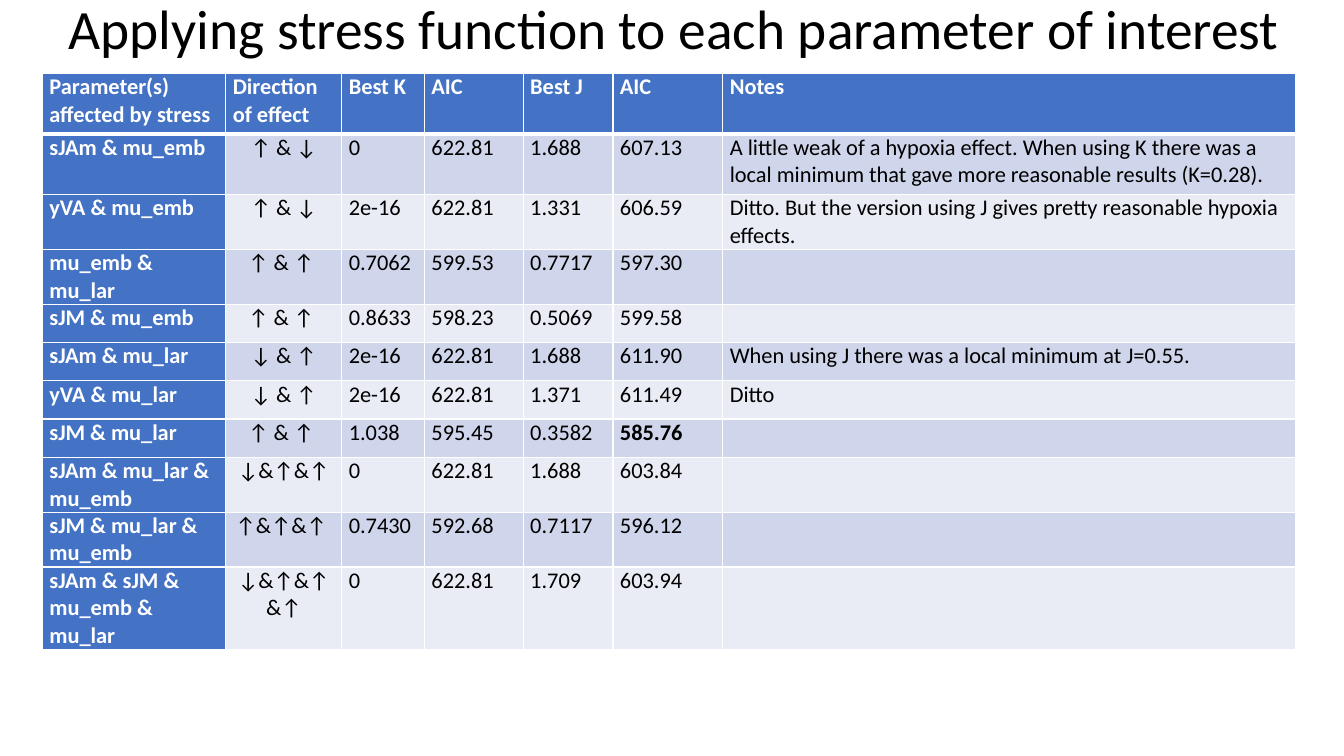
from lxml import etree
from pptx import Presentation, util as u
from pptx.dml.color import RGBColor
from pptx.enum import text
from pptx.oxml import ns

TITLE = "Applying stress function to each parameter of interest"
HEADINGS = ("Parameter(s) affected by stress", "Direction of effect",
            "Best K", "AIC", "Best J", "AIC", "Notes")
RESULTS = [
    ("sJAm & mu_emb", "↑ & ↓", "0", "622.81", "1.688", "607.13",
     "A little weak of a hypoxia effect. When using K there was a local minimum "
     "that gave more reasonable results (K=0.28)."),
    ("yVA & mu_emb", "↑ & ↓", "2e-16", "622.81", "1.331", "606.59",
     "Ditto. But the version using J gives pretty reasonable hypoxia effects."),
    ("mu_emb & mu_lar", "↑ & ↑ ", "0.7062", "599.53", "0.7717", "597.30", ""),
    ("sJM & mu_emb", "↑ & ↑ ", "0.8633", "598.23", "0.5069", "599.58", ""),
    ("sJAm & mu_lar", "↓ & ↑", "2e-16", "622.81", "1.688", "611.90",
     "When using J there was a local minimum at J=0.55."),
    ("yVA & mu_lar", "↓ & ↑", "2e-16", "622.81", "1.371", "611.49", "Ditto"),
    ("sJM & mu_lar", "↑ & ↑ ", "1.038", "595.45", "0.3582", "585.76", ""),
    ("sJAm & mu_lar & mu_emb", "↓&↑&↑", "0", "622.81", "1.688", "603.84", ""),
    ("sJM & mu_lar & mu_emb", "↑&↑&↑ ", "0.7430", "592.68", "0.7117", "596.12", ""),
    ("sJAm & sJM & mu_emb & mu_lar", "↓&↑&↑&↑", "0", "622.81", "1.709", "603.94", ""),
]
LOWEST_AIC = "585.76"
COLUMNS = (1.82, 1.15, 0.82, 0.98, 0.89, 1.09, 5.68)
ROWS = (0.6, 0.6, 0.49) + (0.38,) * 8
FONT = "Calibri"
BLACK, WHITE, BLUE = "000000", "FFFFFF", "4472C4"
BANDS = ("CFD5EA", "E9EBF5")
CELL = {"margin_left": u.Inches(0.07), "margin_right": u.Inches(0.07),
        "margin_top": 0, "margin_bottom": 0}


def apply(target, values):
    for name, value in values.items():
        setattr(target, name, value)


def write(paragraph, words, size, colour, bold=False):
    run = paragraph.add_run()
    run.text = words
    apply(run.font, {"name": FONT, "size": u.Pt(size), "bold": bold})
    run.font.color.rgb = RGBColor.from_string(colour)


def border(cell, widths):
    properties = cell._tc.get_or_add_tcPr()
    for place, (side, points) in enumerate(widths.items()):
        line = etree.Element(ns.qn(f"a:ln{side}"), w=str(u.Pt(points)))
        fill = etree.SubElement(line, ns.qn("a:solidFill"))
        etree.SubElement(fill, ns.qn("a:srgbClr"), val=WHITE)
        properties.insert(place, line)


deck = Presentation()
apply(deck, {"slide_width": u.Inches(13.33), "slide_height": u.Inches(7.5)})
slide = deck.slides.add_slide(deck.slide_layouts[5])

title = slide.shapes.title
apply(title, {"left": u.Inches(0.52), "top": u.Inches(0.02),
              "width": u.Inches(12.33), "height": u.Inches(0.59)})
apply(title.text_frame, {"vertical_anchor": text.MSO_ANCHOR.MIDDLE, "word_wrap": True,
                         "auto_size": text.MSO_AUTO_SIZE.NONE})
heading = title.text_frame.paragraphs[0]
apply(heading, {"line_spacing": 0.9, "alignment": text.PP_ALIGN.CENTER})
write(heading, TITLE, 39.6, BLACK)

results = slide.shapes.add_table(
    len(ROWS), len(COLUMNS), u.Inches(0.42), u.Inches(0.73),
    u.Inches(sum(COLUMNS)), u.Inches(sum(ROWS))).table
results.first_col = True
for column, width in zip(results.columns, COLUMNS):
    column.width = u.Inches(width)
for row, height in zip(results.rows, ROWS):
    row.height = u.Inches(height)

for r, entries in enumerate([HEADINGS] + RESULTS):
    for c, words in enumerate(entries):
        cell = results.cell(r, c)
        header = r == 0 or c == 0
        apply(cell, CELL)
        cell.fill.solid()
        cell.fill.fore_color.rgb = RGBColor.from_string(BLUE if header else BANDS[(r - 1) % 2])
        border(cell, {"L": 1, "R": 1, "T": 3 if r == 1 else 1, "B": 3 if r == 0 else 1})
        paragraph = cell.text_frame.paragraphs[0]
        if r and c == 1:
            paragraph.alignment = text.PP_ALIGN.CENTER
        if words:
            write(paragraph, words, 16, WHITE if header else BLACK,
                  header or words == LOWEST_AIC)

deck.save("out.pptx")
